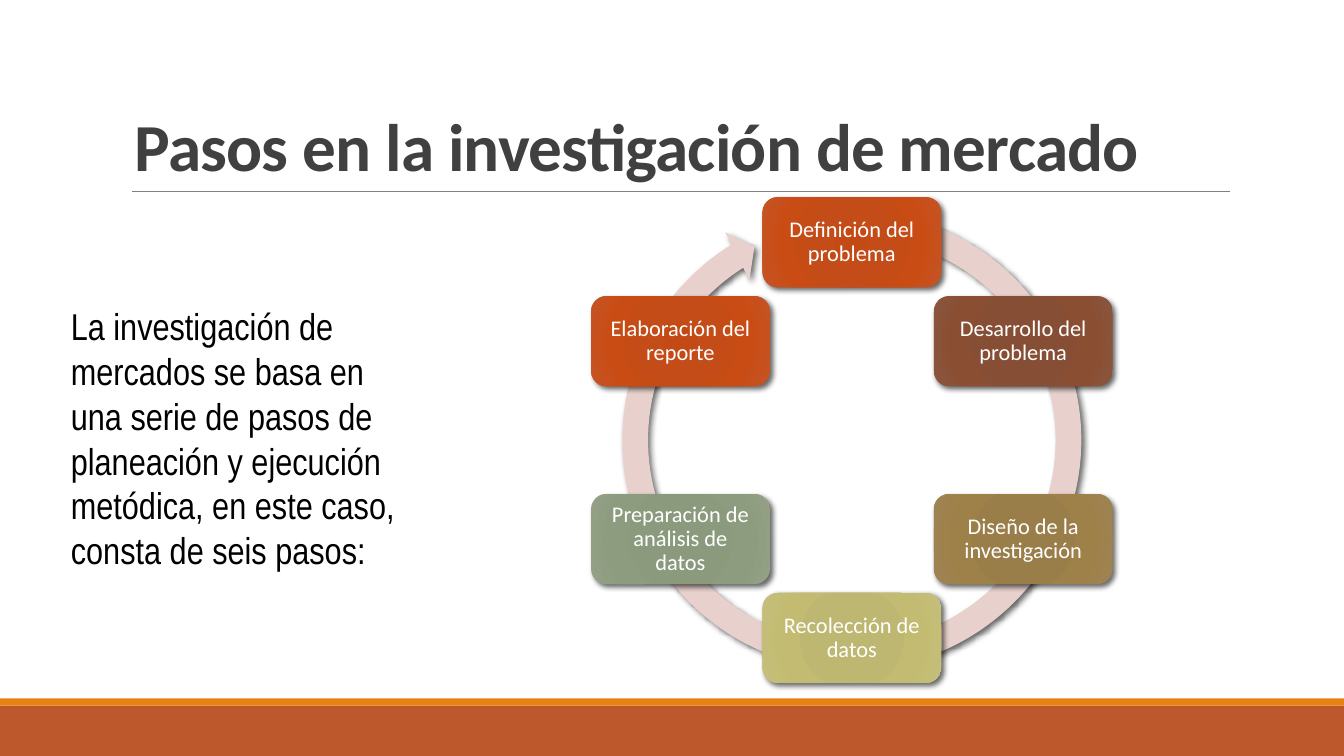
"""Build the slide on the six steps of market research."""
import math

from lxml import etree
from pptx import Presentation
from pptx import util as u
from pptx.dml.color import RGBColor
from pptx.enum import shapes, text
from pptx.oxml import parse_xml
from pptx.oxml import ns

COLORS = {
    "footer": "BD582C", "stripe": "E48312", "rule": "808080", "title": "404040",
    "body": "000000", "ring": "E8D1CD", "step_text": "FFFFFF", "shadow": "000000",
}
ORANGE = ("C44A15", "C34C18", "C94C15", "C45525")
STEPS = [
    ("Definición del problema", ORANGE),
    ("Desarrollo del problema", ("874C32", "864E34", "8A4E33", "8A553D")),
    ("Diseño de la investigación", ("9A7D48", "9A7E4A", "9E8049", "9E8454")),
    ("Recolección de datos", ("BEB76E", "BEB771", "C3BB71", "C5BF7D")),
    ("Preparación de análisis de datos", ("8A987B", "8B997D", "8D9C7E", "94A187")),
    ("Elaboración del reporte", ORANGE),
]
STOPS = (0, 34, 70, 100)
CENTER_X, CENTER_Y, RADIUS = 16.1, 8.32, 3.74
STEP_WIDTH, STEP_HEIGHT = 3.38, 1.7
RING_SIZE = 9.2


def add_run(paragraph, words, font_name, size, color):
    run = paragraph.add_run()
    run.text = words
    run.font.name = font_name
    run.font.size = u.Pt(size)
    run.font.color.rgb = RGBColor.from_string(COLORS[color])
    return run


def add_shadow(shape):
    shape.shadow.inherit = False
    effects = shape._element.spPr.find(ns.qn("a:effectLst"))
    shadow = etree.SubElement(effects, ns.qn("a:outerShdw"), blurRad="38100",
                              dist="25400", dir="2700000", rotWithShape="0")
    color = etree.SubElement(shadow, ns.qn("a:srgbClr"), val=COLORS["shadow"])
    etree.SubElement(color, ns.qn("a:alpha"), val="60000")


presentation = Presentation()
presentation.slide_width = u.Cm(25.4)
presentation.slide_height = u.Cm(14.29)
slide = presentation.slides.add_slide(presentation.slide_layouts[6])

for name, top, height in (("footer", 13.34, 0.95), ("stripe", 13.2, 0.14)):
    band = slide.shapes.add_shape(shapes.MSO_SHAPE.RECTANGLE, 0, u.Cm(top),
                                  presentation.slide_width, u.Cm(height))
    band.shadow.inherit = False
    band.fill.solid()
    band.fill.fore_color.rgb = RGBColor.from_string(COLORS[name])
    band.line.fill.background()

rule = slide.shapes.add_connector(shapes.MSO_CONNECTOR.STRAIGHT, u.Cm(2.49), u.Cm(3.62),
                                  u.Cm(23.24), u.Cm(3.62))
rule.line.color.rgb = RGBColor.from_string(COLORS["rule"])
rule.line.width = u.Pt(0.5)
etree.SubElement(rule._element.spPr, ns.qn("a:effectLst"))

title = slide.shapes.add_textbox(u.Cm(2.29), u.Cm(0.61), u.Cm(20.96), u.Cm(3.02))
title.text_frame.word_wrap = True
title.text_frame.vertical_anchor = text.MSO_ANCHOR.BOTTOM
paragraph = title.text_frame.paragraphs[0]
paragraph.line_spacing = 0.85
run = add_run(paragraph, "Pasos en la investigación de mercado", "Calibri", 36, "title")
run.font.bold = True
run._r.get_or_add_rPr().set("spc", "-40")

body = slide.shapes.add_textbox(u.Cm(1.09), u.Cm(5.61), u.Cm(7.01), u.Cm(5.38))
body.text_frame.word_wrap = True
add_run(body.text_frame.paragraphs[0],
        "La investigación de mercados se basa en una serie de pasos de planeación y "
        "ejecución metódica, en este caso, consta de seis pasos:",
        "Arial Narrow", 20, "body")

ring = slide.shapes.add_shape(shapes.MSO_SHAPE.CIRCULAR_ARROW, u.Cm(CENTER_X - RING_SIZE / 2),
                              u.Cm(CENTER_Y - RING_SIZE / 2), u.Cm(RING_SIZE), u.Cm(RING_SIZE))
for index, value in enumerate((0.053, 3.126, 142.858, 170.933, 0.055)):
    ring.adjustments[index] = value
ring.fill.solid()
ring.fill.fore_color.rgb = RGBColor.from_string(COLORS["ring"])
ring.line.fill.background()
add_shadow(ring)

for index, (label, gradient) in enumerate(STEPS):
    angle = math.radians(60 * index)
    left = CENTER_X + RADIUS * math.sin(angle) - STEP_WIDTH / 2
    top = CENTER_Y - RADIUS * math.cos(angle) - STEP_HEIGHT / 2
    step = slide.shapes.add_shape(shapes.MSO_SHAPE.ROUNDED_RECTANGLE, u.Cm(left), u.Cm(top),
                                  u.Cm(STEP_WIDTH), u.Cm(STEP_HEIGHT))
    step.line.fill.background()
    stops = "".join(f'<a:gs pos="{stop * 1000}"><a:srgbClr val="{color}"/></a:gs>'
                    for stop, color in zip(STOPS, gradient))
    step._element.spPr.insert(2, parse_xml(
        f'<a:gradFill {ns.nsdecls("a")} rotWithShape="1"><a:gsLst>{stops}</a:gsLst>'
        '<a:path path="circle"><a:fillToRect l="100000" t="100000" r="100000" b="100000"/>'
        '</a:path></a:gradFill>'))
    add_shadow(step)
    frame = step.text_frame
    frame.word_wrap = True
    frame.vertical_anchor = text.MSO_ANCHOR.MIDDLE
    frame.margin_left = frame.margin_right = u.Cm(0.2)
    frame.margin_top = frame.margin_bottom = u.Cm(0.2)
    paragraph = frame.paragraphs[0]
    paragraph.alignment = text.PP_ALIGN.CENTER
    paragraph.line_spacing = 0.9
    add_run(paragraph, label, "Calibri", 12, "step_text")

presentation.save("out.pptx")
